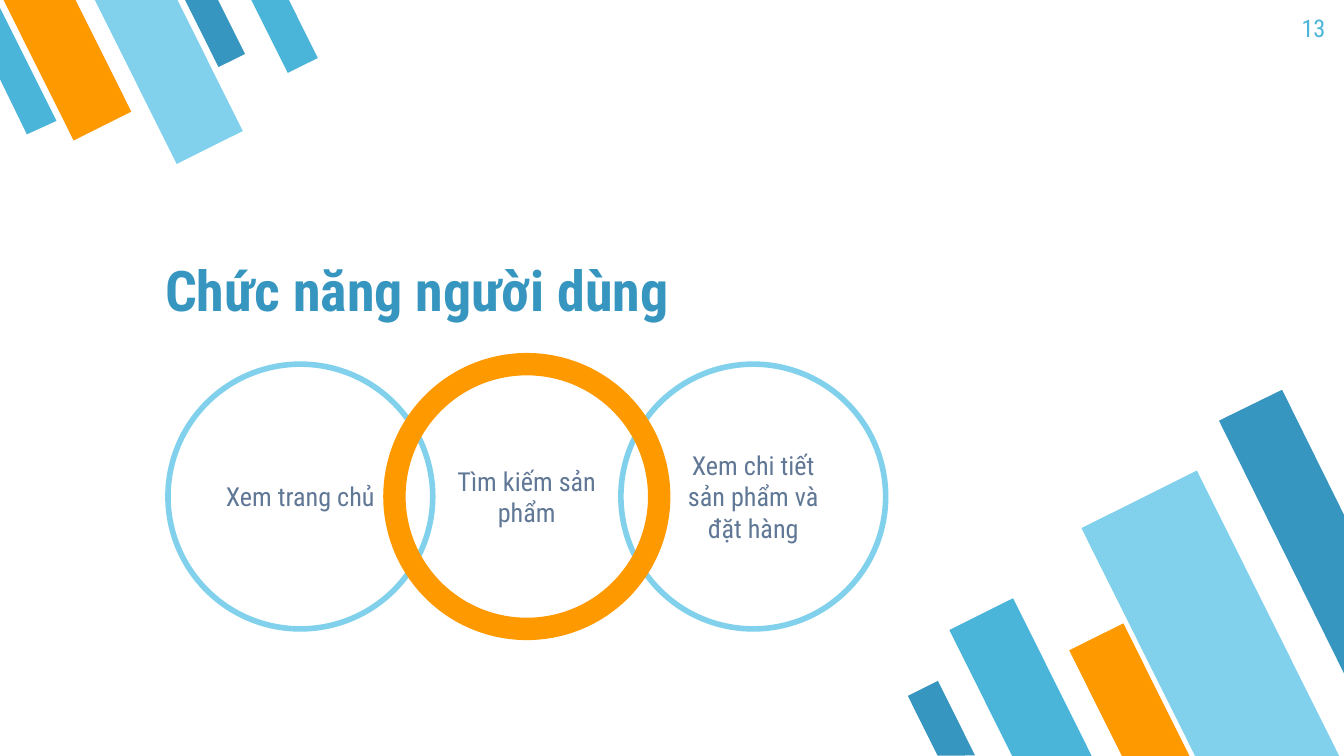
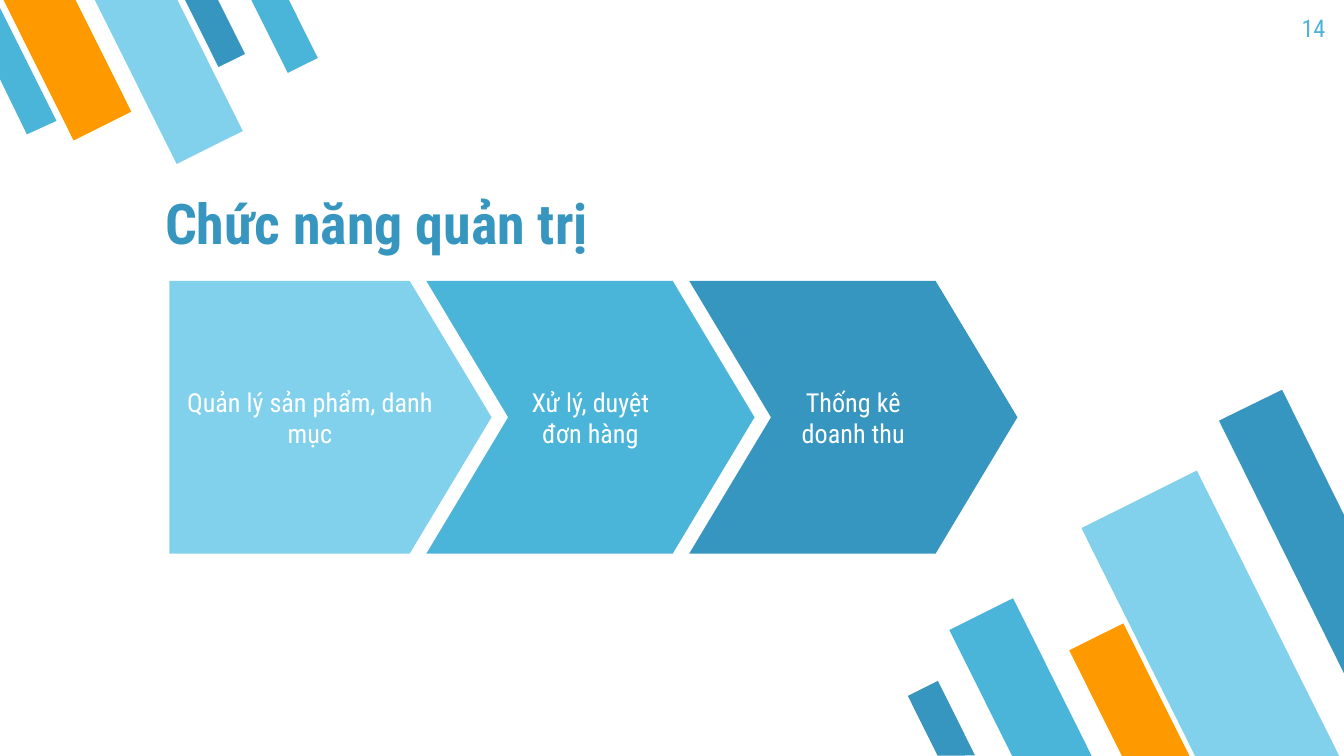
from dataclasses import dataclass

from pptx import Presentation
from pptx.dml.color import RGBColor
from pptx.enum.shapes import MSO_SHAPE
from pptx.enum.text import MSO_ANCHOR, PP_ALIGN
from pptx.util import Inches, Pt

BAR = MSO_SHAPE.FLOWCHART_MANUAL_INPUT
CIRCLE, PLATE, CHEVRON = MSO_SHAPE.OVAL, MSO_SHAPE.PENTAGON, MSO_SHAPE.CHEVRON
TOP, MIDDLE, BOTTOM = MSO_ANCHOR.TOP, MSO_ANCHOR.MIDDLE, MSO_ANCHOR.BOTTOM
LEFT, CENTER, RIGHT = PP_ALIGN.LEFT, PP_ALIGN.CENTER, PP_ALIGN.RIGHT


@dataclass(frozen=True)
class Theme:
    font: str = "Roboto Condensed"
    light: str = "81D1EC"
    mid: str = "4BB5D9"
    dark: str = "3796BF"
    accent: str = "FF9900"
    body: str = "607896"
    white: str = "FFFFFF"
    title_size: int = 30
    label_size: int = 14
    number_size: int = 13
    ring: int = 3
    ring_strong: int = 12


T = Theme()

# Square grid: 100 columns across a 16:9 slide
SLIDE_W = Inches(10)
SLIDE_H = SLIDE_W * 9 // 16
CELL = SLIDE_W // 100

# Boxes in grid cells: left, top, width, height
NUMBER_BOX = (93.6, 0, 6, 4.3)
RINGS_BOX = (12.5, 27.1, 53.4, 19.7)
ARROWS_BOX = (12.6, 20.9, 63.1, 20.3)
TITLE_LEFT, TITLE_W, TITLE_H = 11.3, 63, 7.4

# Slanted bars: box and colour, then the one cut off by the slide edge
LOWER_BARS = (
    153.5,
    [((73.3, 45, 5.3, 13.2), T.mid), ((85.3, 35.9, 9.6, 23.9), T.light),
     ((81.8, 46.8, 4.5, 11.1), T.accent), ((68.8, 50.9, 2.5, 6.2), T.dark)],
    [(95.4, 29), (90.7, 31.3), (100, 50.1), (100, 38.3)], T.dark,
)
UPPER_BARS = (
    333.5,
    [((14.9, -0.8, 2.2, 5.6), T.dark), ((2.6, -1.8, 4.8, 11.8), T.accent),
     ((9.8, -2, 5.5, 13.7), T.light), ((19.9, -1, 2.5, 6.2), T.mid)],
    [(2, 10), (4.2, 9), (0, 0.6), (0, 5.9)], T.mid,
)


def cells(*values):
    return [round(v * CELL) for v in values]


def paint(sp, fill=None, line=None, width=0):
    sp.shadow.inherit = False
    if fill:
        sp.fill.solid()
        sp.fill.fore_color.rgb = RGBColor.from_string(fill)
    else:
        sp.fill.background()
    if line:
        sp.line.color.rgb = RGBColor.from_string(line)
        sp.line.width = Pt(width)
    else:
        sp.line.fill.background()


def write(sp, text, size, color, align=CENTER, anchor=MIDDLE, bold=False):
    tf = sp.text_frame
    tf.text = text
    tf.word_wrap = True
    tf.vertical_anchor = anchor
    tf.margin_left = tf.margin_right = tf.margin_top = tf.margin_bottom = CELL
    p = tf.paragraphs[0]
    p.alignment = align
    font = p.runs[0].font
    font.name, font.size, font.bold = T.font, Pt(size), bold
    font.color.rgb = RGBColor.from_string(color)


def add_bars(s, angle, bars, outline, outline_color):
    shapes = s.shapes.add_group_shape().shapes
    for box, color in bars:
        sp = shapes.add_shape(BAR, *cells(*box))
        sp.rotation = angle
        sp._element.spPr.get_or_add_xfrm().set("flipH", "1")
        paint(sp, color)
    start, *rest = [cells(*point) for point in outline]
    builder = shapes.build_freeform(*start)
    builder.add_line_segments(rest, close=True)
    paint(builder.convert_to_shape(), outline_color)


def add_frame(prs, title, title_top, number):
    """Slide with the bars, title and page number that all slides share."""
    s = prs.slides.add_slide(prs.slide_layouts[6])
    add_bars(s, *LOWER_BARS)
    add_bars(s, *UPPER_BARS)
    tb = s.shapes.add_textbox(*cells(TITLE_LEFT, title_top, TITLE_W, TITLE_H))
    write(tb, title, T.title_size, T.dark, LEFT, BOTTOM, bold=True)
    tb = s.shapes.add_textbox(*cells(*NUMBER_BOX))
    write(tb, str(number), T.number_size, T.mid, RIGHT, TOP)
    return s


def add_rings(s, box, labels, strong):
    """Overlapping circles as tall as the box; the strong one lies on top."""
    x, y, w, h = box
    step = (w - h) / (len(labels) - 1)
    for i in sorted(range(len(labels)), key=lambda i: i == strong):
        sp = s.shapes.add_shape(CIRCLE, *cells(x + i * step, y, h, h))
        if i == strong:
            paint(sp, line=T.accent, width=T.ring_strong)
        else:
            paint(sp, line=T.light, width=T.ring)
        write(sp, labels[i], T.label_size, T.body)


def add_arrows(s, box, steps):
    """A starting plate, then chevrons stepping to the right edge of the box."""
    x, y, w, h = box
    plate_w, chevron_w, step = 0.38 * w, 0.387 * w, 0.31 * w
    for i, (label, color) in enumerate(steps):
        if i == 0:
            kind, left, width = PLATE, x, plate_w
        else:
            kind, width = CHEVRON, chevron_w
            left = x + w - chevron_w - (len(steps) - 1 - i) * step
        sp = s.shapes.add_shape(kind, *cells(left, y, width, h))
        sp.adjustments[0] = 0.3
        paint(sp, color)
        write(sp, label, T.label_size, T.white)


def main():
    prs = Presentation()
    prs.slide_width, prs.slide_height = SLIDE_W, SLIDE_H

    # User functions
    s = add_frame(prs, "Chức năng người dùng", 17.6, 13)
    add_rings(s, RINGS_BOX, ["Xem trang chủ", "Tìm kiếm sản phẩm",
                             "Xem chi tiết sản phẩm và đặt hàng"], strong=1)

    # Administration functions
    s = add_frame(prs, "Chức năng quản trị", 12.6, 14)
    add_arrows(s, ARROWS_BOX, [("Quản lý sản phẩm, danh mục", T.light),
                               ("Xử lý, duyệt đơn hàng", T.mid),
                               ("Thống kê doanh thu", T.dark)])

    prs.save("out.pptx")


if __name__ == "__main__":
    main()
